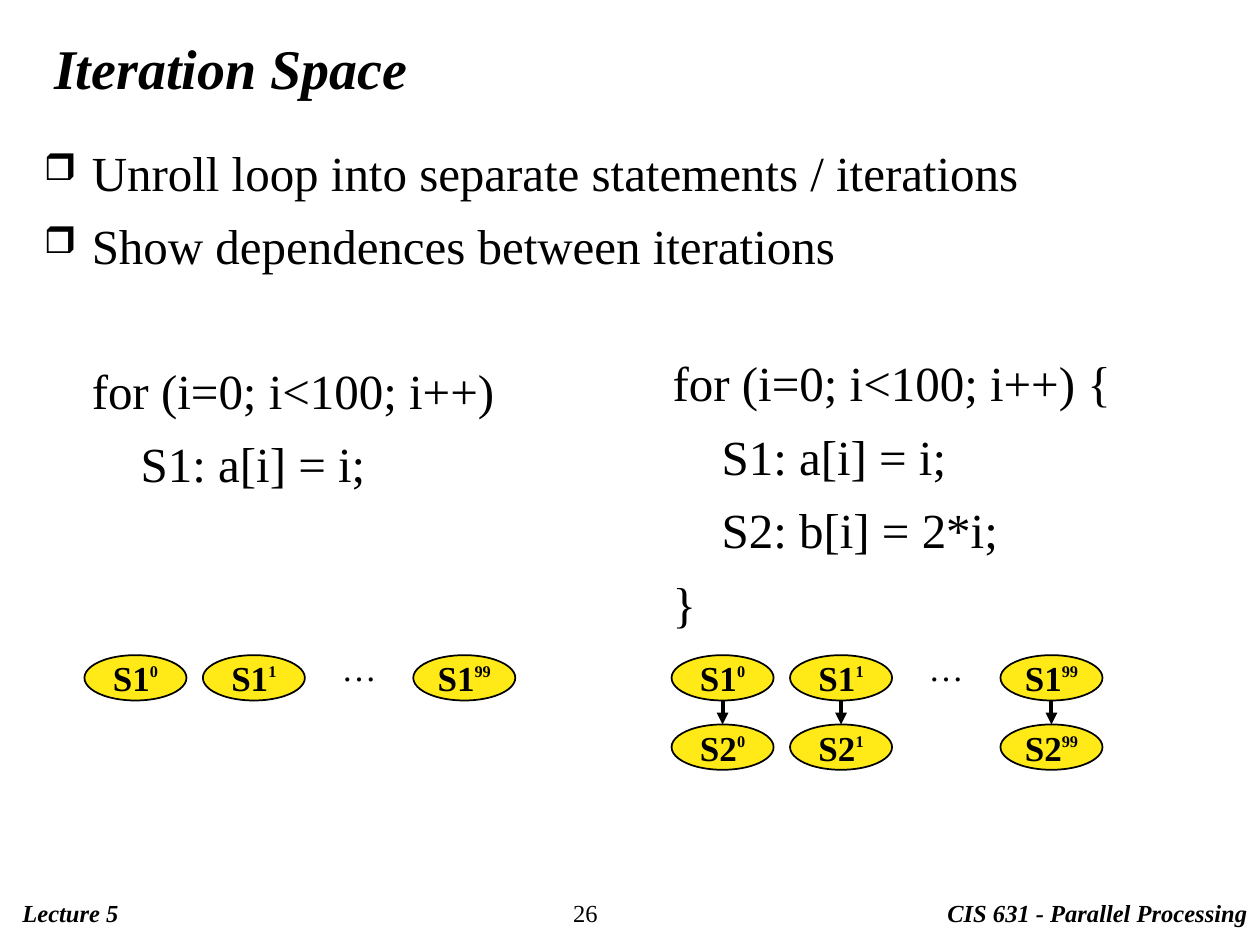
from dataclasses import dataclass

from lxml.etree import SubElement
from pptx import Presentation
from pptx.dml.color import RGBColor
from pptx.enum.shapes import MSO_CONNECTOR, MSO_SHAPE
from pptx.enum.text import MSO_ANCHOR, PP_ALIGN
from pptx.oxml.ns import qn
from pptx.util import Inches, Pt

COLORS = {"text": "000000", "node": "FFEA18"}
FONT = "Times New Roman"
LINE_GAP = 8.4  # points before each body line
SECTION_GAP = 49  # points between the bullets and the code
NODE_WIDTH, NODE_HEIGHT = 0.81, 0.36
NODE_TOP, ROW_PITCH = 5.2, 0.55
COLUMN_OFFSETS = {"0": 0, "1": 0.94, "99": 2.61}
ELLIPSIS_OFFSET = 1.94


@dataclass
class Line:
    text: str
    size: float = 28
    bold: bool = False
    italic: bool = False
    before: float = 0
    indent: float = 0
    bullet: str = ""
    align: PP_ALIGN = PP_ALIGN.LEFT


@dataclass
class Box:
    left: float
    top: float
    width: float
    height: float
    lines: list[Line]
    wrap: bool = True


@dataclass
class IterationGraph:
    left: float
    statements: list[str]


def color(name: str) -> RGBColor:
    return RGBColor.from_string(COLORS[name])


def add_run(paragraph, text: str, size: float, bold=False, italic=False):
    run = paragraph.add_run()
    run.text = text
    font = run.font
    font.name, font.size = FONT, Pt(size)
    font.bold, font.italic = bold, italic
    font.color.rgb = color("text")
    return run


def add_bullet(properties, symbol: str) -> None:
    bullet_color = SubElement(properties, qn("a:buClr"))
    SubElement(bullet_color, qn("a:srgbClr"), val=COLORS["text"])
    SubElement(properties, qn("a:buSzPct"), val="75000")
    SubElement(properties, qn("a:buChar"), char=symbol)


def write_lines(frame, lines: list[Line]) -> None:
    for index, line in enumerate(lines):
        paragraph = frame.add_paragraph() if index else frame.paragraphs[0]
        paragraph.alignment = line.align
        paragraph.space_before = Pt(line.before)
        properties = paragraph._p.get_or_add_pPr()
        if line.indent:
            properties.set("marL", str(Inches(line.indent)))
        if line.bullet:
            properties.set("indent", str(-Inches(line.indent)))
            add_bullet(properties, line.bullet)
        add_run(paragraph, line.text, line.size, line.bold, line.italic)


def add_box(slide, box: Box) -> None:
    shape = slide.shapes.add_textbox(
        Inches(box.left), Inches(box.top), Inches(box.width), Inches(box.height))
    shape.text_frame.word_wrap = box.wrap
    write_lines(shape.text_frame, box.lines)


def add_node(slide, left: float, top: float, statement: str, iteration: str) -> None:
    shape = slide.shapes.add_shape(
        MSO_SHAPE.OVAL, Inches(left), Inches(top), Inches(NODE_WIDTH), Inches(NODE_HEIGHT))
    shape.shadow.inherit = False
    shape.fill.solid()
    shape.fill.fore_color.rgb = color("node")
    shape.line.color.rgb = color("text")
    shape.line.width = Pt(1)
    frame = shape.text_frame
    frame.word_wrap = False
    frame.vertical_anchor = MSO_ANCHOR.MIDDLE
    paragraph = frame.paragraphs[0]
    paragraph.alignment = PP_ALIGN.CENTER
    add_run(paragraph, statement, 20, bold=True)
    superscript = add_run(paragraph, iteration, 16, bold=True)
    superscript._r.get_or_add_rPr().set("baseline", "50000")


def add_arrow(slide, x: float, top: float, bottom: float) -> None:
    connector = slide.shapes.add_connector(
        MSO_CONNECTOR.STRAIGHT, Inches(x), Inches(top), Inches(x), Inches(bottom))
    connector.line.color.rgb = color("text")
    connector.line.width = Pt(2.25)
    SubElement(connector.line._get_or_add_ln(), qn("a:tailEnd"), type="triangle")
    SubElement(connector._element.spPr, qn("a:effectLst"))


def add_graph(slide, graph: IterationGraph) -> None:
    for iteration, offset in COLUMN_OFFSETS.items():
        left = graph.left + offset
        for row, statement in enumerate(graph.statements):
            top = NODE_TOP + row * ROW_PITCH
            add_node(slide, left, top, statement, iteration)
            if row:
                add_arrow(slide, left + NODE_WIDTH / 2, top - ROW_PITCH + NODE_HEIGHT, top)
    ellipsis = Line("…", 20, align=PP_ALIGN.CENTER)
    add_box(slide, Box(graph.left + ELLIPSIS_OFFSET, 5.08, 0.48, 0.44, [ellipsis], wrap=False))


def add_title(slide, text: str) -> None:
    title = slide.shapes.title
    title.left, title.top = Inches(0.33), Inches(0.28)
    title.width, title.height = Inches(9.42), Inches(0.5)
    title.text_frame.vertical_anchor = MSO_ANCHOR.MIDDLE
    write_lines(title.text_frame, [Line(text, 32, bold=True, italic=True)])


def main() -> None:
    presentation = Presentation()
    presentation.slide_width, presentation.slide_height = Inches(10), Inches(7.5)
    slide = presentation.slides.add_slide(presentation.slide_layouts[5])
    add_title(slide, "Iteration Space")

    # Bullets and the single-statement loop
    add_box(slide, Box(0.25, 1.08, 9.58, 6, [
        Line("Unroll loop into separate statements / iterations", indent=0.38, bullet="❒"),
        Line("Show dependences between iterations", before=LINE_GAP, indent=0.38, bullet="❒"),
        Line("for (i=0; i<100; i++)", before=SECTION_GAP, indent=0.38),
        Line("    S1: a[i] = i;", before=LINE_GAP, indent=0.38),
    ]))

    # Two-statement loop
    add_box(slide, Box(5.24, 2.75, 3.68, 2.26, [
        Line("for (i=0; i<100; i++) {"),
        Line("    S1: a[i] = i;", before=LINE_GAP),
        Line("    S2: b[i] = 2*i;", before=LINE_GAP),
        Line("}", before=LINE_GAP),
    ], wrap=False))

    # Iteration graphs below each loop
    for graph in (IterationGraph(0.67, ["S1"]), IterationGraph(5.33, ["S1", "S2"])):
        add_graph(slide, graph)

    # Footer
    add_box(slide, Box(0.08, 7.08, 4.3, 0.34, [Line("Lecture 5", 14, bold=True, italic=True)]))
    add_box(slide, Box(4.45, 7.08, 1.01, 0.34, [Line("26", 14)]))
    add_box(slide, Box(7.42, 7.08, 2.58, 0.34, [
        Line("CIS 631 - Parallel Processing", 14, bold=True, italic=True)], wrap=False))

    presentation.save("out.pptx")


if __name__ == "__main__":
    main()
